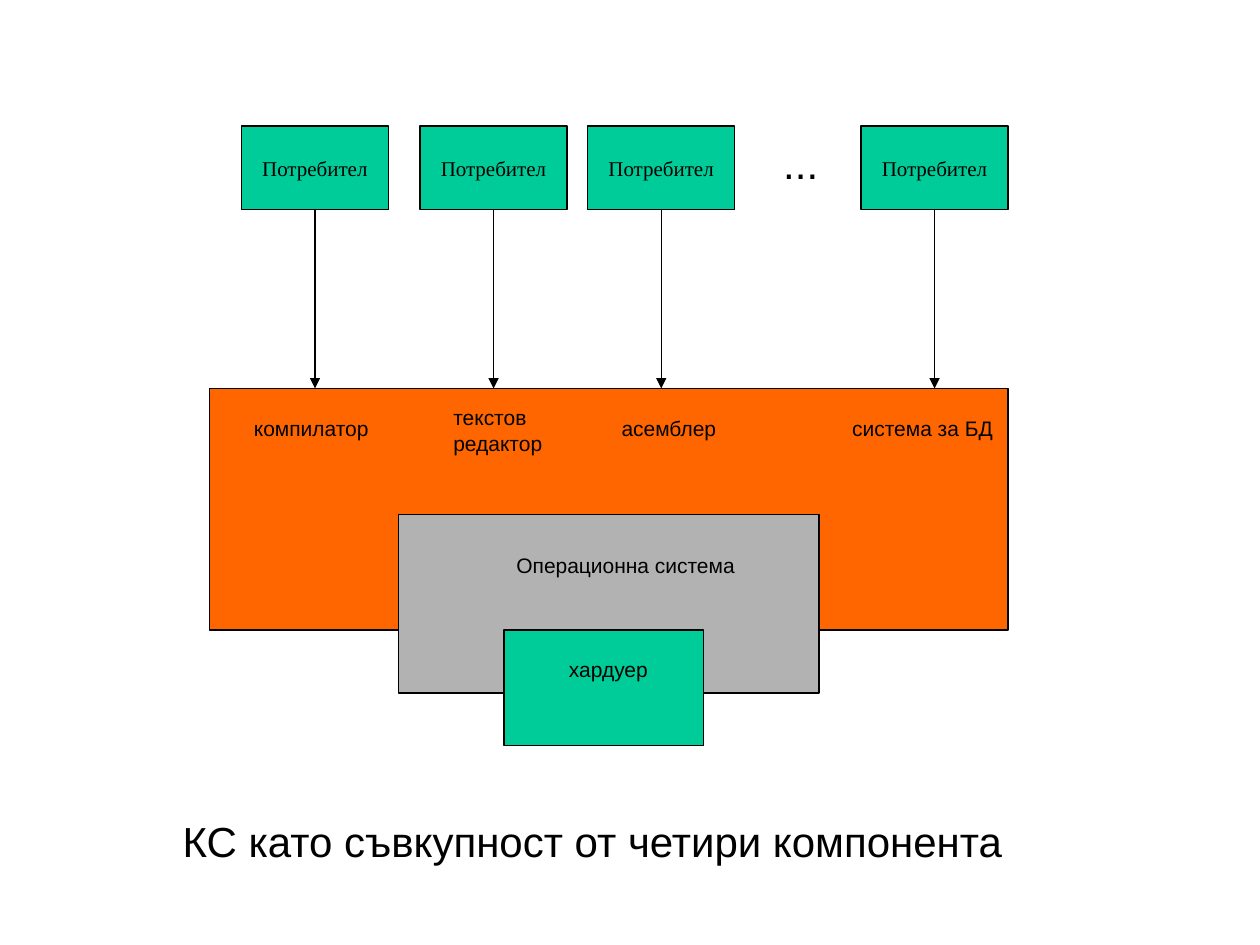
from dataclasses import dataclass
from typing import NamedTuple

from lxml import etree
from pptx import Presentation
from pptx.dml.color import RGBColor
from pptx.enum.shapes import MSO_CONNECTOR, MSO_SHAPE
from pptx.enum.text import MSO_ANCHOR, MSO_AUTO_SIZE, PP_ALIGN
from pptx.oxml.ns import qn
from pptx.util import Cm, Pt

RECT = MSO_SHAPE.RECTANGLE
STRAIGHT = MSO_CONNECTOR.STRAIGHT
LEFT, CENTER = PP_ALIGN.LEFT, PP_ALIGN.CENTER
TOP, MIDDLE = MSO_ANCHOR.TOP, MSO_ANCHOR.MIDDLE
NO_FIT = MSO_AUTO_SIZE.NONE
BOTTOM_SIDE = 2


@dataclass(frozen=True)
class Theme:
    ink: RGBColor = RGBColor(0, 0, 0)
    green: RGBColor = RGBColor(0x00, 0xCC, 0x99)
    orange: RGBColor = RGBColor(0xFF, 0x66, 0x00)
    gray: RGBColor = RGBColor(0xB2, 0xB2, 0xB2)
    sans: str = "Arial"
    serif: str = "Times New Roman"
    small: Pt = Pt(12)
    large: Pt = Pt(24)
    line: Pt = Pt(0.75)


class Box(NamedTuple):
    """A region in centimetres."""
    x: float
    y: float
    w: float
    h: float

    def inner(self, dx, dy, w, h):
        return Box(self.x + dx, self.y + dy, w, h)

    def lengths(self):
        return [Cm(v) for v in self]


THEME = Theme()
USERS = Box(4.87, 2.54, 15.45, 1.69)
SOFTWARE = Box(4.23, 7.83, 16.09, 4.87)
CAPTION = Box(3.43, 16.31, 17.07, 1.27)

USER_WIDTH = 2.96
USER_OFFSETS = (0, 3.6, 6.98, 12.49)
PROGRAMS = (  # text, offset from the software box, width, height
    ("компилатор", 0.64, 0.43, 2.82, 0.76),
    ("текстов\nредактор", 4.66, 0.21, 2.31, 1.27),
    ("асемблер", 8.05, 0.43, 2.44, 0.76),
    ("система за БД", 12.7, 0.43, 3.35, 0.76),
)


def write(tf, text, size, font=THEME.sans, align=LEFT, anchor=TOP):
    tf.text = text
    tf.word_wrap = False
    tf.auto_size = NO_FIT
    tf.vertical_anchor = anchor
    for p in tf.paragraphs:
        p.alignment = align
        p.font.size = size
        p.font.name = font
        p.font.color.rgb = THEME.ink


def add_label(shapes, box, text, size=THEME.small):
    tb = shapes.add_textbox(*box.lengths())
    write(tb.text_frame, text, size)


def add_block(shapes, box, color):
    sp = shapes.add_shape(RECT, *box.lengths())
    sp.shadow.inherit = False
    sp.fill.solid()
    sp.fill.fore_color.rgb = color
    sp.line.color.rgb = THEME.ink
    sp.line.width = THEME.line
    return sp


def add_arrow_down(shapes, block, end_y):
    """Draw an arrow from the middle of a block's bottom side to a height."""
    x = block.left + block.width // 2
    arrow = shapes.add_connector(STRAIGHT, x, block.top + block.height, x, Cm(end_y))
    arrow.begin_connect(block, BOTTOM_SIDE)
    arrow.line.color.rgb = THEME.ink
    arrow.line.width = THEME.line
    etree.SubElement(arrow.line._get_or_add_ln(), qn("a:tailEnd"), type="triangle")
    etree.SubElement(arrow._element.spPr, qn("a:effectLst"))


def add_users(shapes, box, arrow_end):
    for dx in USER_OFFSETS:
        user = add_block(shapes, box.inner(dx, 0, USER_WIDTH, box.h), THEME.green)
        write(user.text_frame, "Потребител", THEME.small, THEME.serif, CENTER, MIDDLE)
        add_arrow_down(shapes, user, arrow_end)
    add_label(shapes, box.inner(10.67, 0.1, 1.22, 1.27), "...", THEME.large)


def add_layers(shapes, box):
    """Stack the software, the operating system and the hardware."""
    system = box.inner(3.81, 2.54, 8.47, 3.6)
    hardware = system.inner(2.12, 2.33, 4.02, 2.33)
    for layer, color in ((box, THEME.orange), (system, THEME.gray),
                         (hardware, THEME.green)):
        add_block(shapes, layer, color)
    for text, *place in PROGRAMS:
        add_label(shapes, box.inner(*place), text)
    add_label(shapes, system.inner(2.12, 0.64, 4.93, 0.76), "Операционна система")
    add_label(shapes, hardware.inner(1.06, 0.42, 2.11, 0.76), "хардуер")


def add_caption(s, box):
    title = s.shapes.title
    title.left, title.top, title.width, title.height = box.lengths()
    write(title.text_frame, "КС като съвкупност от четири компонента", THEME.large)


def main():
    prs = Presentation()
    prs.slide_width, prs.slide_height = Cm(25.4), Cm(19.05)
    s = prs.slides.add_slide(prs.slide_layouts.get_by_name("Title Only"))
    diagram = s.shapes.add_group_shape().shapes
    add_layers(diagram, SOFTWARE)
    add_users(diagram, USERS, SOFTWARE.y)
    add_caption(s, CAPTION)
    prs.save("out.pptx")


if __name__ == "__main__":
    main()
